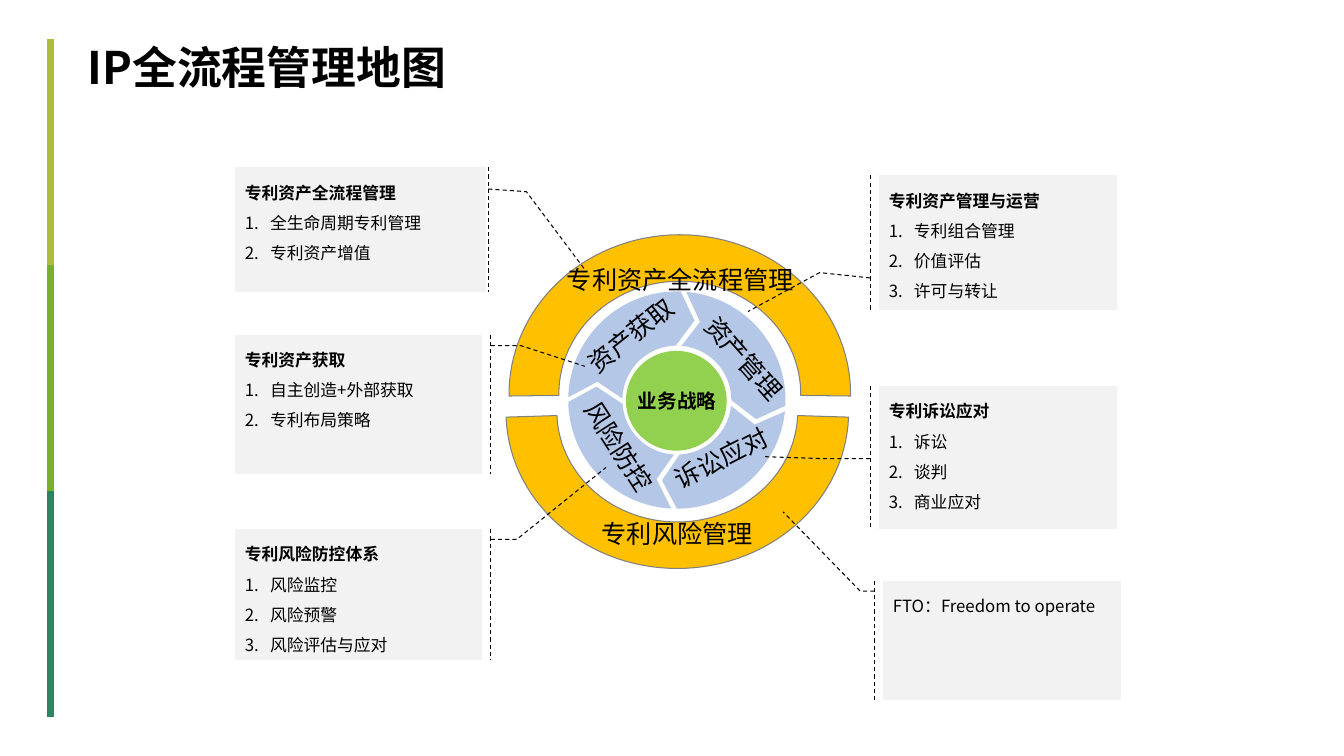
import math
from dataclasses import dataclass

import pptx
import pptx.dml.color
import pptx.enum.dml
import pptx.enum.shapes
import pptx.enum.text
import pptx.oxml
import pptx.oxml.ns
import pptx.util

Pt = pptx.util.Pt
ALIGN = pptx.enum.text.PP_ALIGN
SHAPE = pptx.enum.shapes.MSO_SHAPE


@dataclass(frozen=True)
class Theme:
    font: str = "Noto Sans CJK SC"
    ink: str = "000000"
    panel: str = "F2F2F2"
    band: str = "FFC000"
    band_edge: str = "808080"
    sector: str = "B4C7E7"
    core: str = "92D050"
    stripes: tuple = ("AEBD38", "78AF2B", "2D8461")
    title: int = 32
    ring: int = 18
    centre: int = 14
    body: int = 12


class MapSlide:
    """Draws the parts of the management map on one slide, in points."""

    def __init__(self, slide, theme):
        self.shapes = slide.shapes
        self.theme = theme

    def rgb(self, value):
        return pptx.dml.color.RGBColor.from_string(value)

    def element(self, tag, **attributes):
        made = pptx.oxml.parse_xml(f"<a:{tag} {pptx.oxml.ns.nsdecls('a')}/>")
        for key, value in attributes.items():
            made.set(key, value)
        return made

    def paint(self, shape, fill, edge=None):
        shape.shadow.inherit = False
        shape.fill.solid()
        shape.fill.fore_color.rgb = self.rgb(fill)
        if edge:
            shape.line.color.rgb = self.rgb(edge)
            shape.line.width = Pt(0.75)
        else:
            shape.line.fill.background()

    def add_words(self, paragraph, words, size, bold=False):
        run = paragraph.add_run()
        run.text = words
        run.font.size = Pt(size)
        run.font.bold = bold
        run.font.color.rgb = self.rgb(self.theme.ink)
        run.font.name = self.theme.font
        run.font._element.append(self.element("ea", typeface=self.theme.font))

    def stripe(self, x, top, length, color):
        line = self.shapes.add_connector(
            pptx.enum.shapes.MSO_CONNECTOR.STRAIGHT,
            Pt(x), Pt(top), Pt(x), Pt(top + length))
        line.line.color.rgb = self.rgb(color)
        line.line.width = Pt(4.8)
        line._element.spPr.append(self.element("effectLst"))

    def disc(self, box, color):
        self.paint(self.shapes.add_shape(SHAPE.OVAL, *map(Pt, box)), color)

    def ring_piece(self, centre, outer, inner, start, end, color, edge=None, arrow=False):
        def at(radii, degrees):
            turn = math.radians(degrees)
            return tuple(Pt(c + r * f(turn))
                         for c, r, f in zip(centre, radii, (math.cos, math.sin)))

        def arc(radii, first, last, steps=60):
            return [at(radii, first + (last - first) * i / steps) for i in range(steps + 1)]

        middle = [(a + b) / 2 for a, b in zip(outer, inner)]
        tip = [at(middle, end + 10.5)] if arrow else []
        notch = [at(middle, start + 11.5)] if arrow else []
        inner_end = end - 3 if arrow else end
        points = arc(outer, start, end) + tip + arc(inner, inner_end, start) + notch
        builder = self.shapes.build_freeform(*points[0], scale=1.0)
        builder.add_line_segments(points[1:], close=True)
        self.paint(builder.convert_to_shape(), color, edge)

    def label(self, words, box, size, bold=False, align=ALIGN.LEFT, insets=None,
              spacing=None, turn=0, wrap=True, grow=True):
        holder = self.shapes.add_textbox(*map(Pt, box))
        holder.rotation = turn
        frame = holder.text_frame
        frame.word_wrap = wrap
        sizing = pptx.enum.text.MSO_AUTO_SIZE
        frame.auto_size = sizing.SHAPE_TO_FIT_TEXT if grow else sizing.NONE
        if insets:
            frame.margin_left = frame.margin_right = Pt(insets[0])
            frame.margin_top = frame.margin_bottom = Pt(insets[1])
        paragraph = frame.paragraphs[0]
        paragraph.alignment = align
        if spacing:
            paragraph.line_spacing = spacing
        self.add_words(paragraph, words, size, bold)

    def callout(self, box, leader, heading, items):
        panel = self.shapes.add_shape(SHAPE.LINE_CALLOUT_2_ACCENT_BAR, *map(Pt, box))
        for i, value in enumerate(leader):
            panel.adjustments[i] = value
        self.paint(panel, self.theme.panel, self.theme.ink)
        panel.line.dash_style = pptx.enum.dml.MSO_LINE.DASH
        frame = panel.text_frame
        frame.word_wrap = True
        frame.vertical_anchor = pptx.enum.text.MSO_ANCHOR.TOP
        for i, words in enumerate([heading, *items]):
            paragraph = frame.add_paragraph() if i else frame.paragraphs[0]
            paragraph.alignment = ALIGN.LEFT
            paragraph.line_spacing = 1.5
            if i:
                properties = paragraph._p.get_or_add_pPr()
                properties.set("marL", str(Pt(18)))
                properties.set("indent", str(-Pt(18)))
                properties.append(self.element("buAutoNum", type="arabicPeriod"))
            self.add_words(paragraph, words, self.theme.body, bool(items) and i == 0)


SECTORS = [(-85, 3), (181.5, 272), (93, 179), (6, 90)]

SECTOR_LABELS = [
    ("资产获取", (414, 231.1, 80.6, 16.6), 321.6, ALIGN.LEFT),
    ("资产管理", (491, 252, 82.1, 16.6), 48.6, ALIGN.LEFT),
    ("诉讼应对", (478.8, 320.4, 77, 16.6), 332.9, ALIGN.LEFT),
    ("风险防控", (391.7, 311.8, 96.5, 16.6), 57.4, ALIGN.CENTER),
]

BANDS = [
    ((483.8, 294.1), (122.4, 112), (86, 78.8), 2, 178),
    ((485.6, 281.5), (122, 113.8), (86.4, 80.6), 179.3, 360.7),
]

BAND_LABELS = [
    ("专利资产全流程管理", (432, 185, 108, 36)),
    ("专利风险管理", (432, 366.5, 103.7, 28.1)),
]

CALLOUTS = [
    ((167.8, 239, 176.4, 99.4), (0.079, 1.036, 0.079, 1.157, 0.228, 1.417),
     "专利资产获取", ["自主创造+外部获取", "专利布局策略"]),
    ((167.8, 378, 176.4, 93.6), (0.079, 1.036, 0.079, 1.141, -0.472, 1.503),
     "专利风险防控体系", ["风险监控", "风险预警", "风险评估与应对"]),
    ((167.8, 119.5, 179.3, 89.3), (0.174, 1.009, 0.195, 1.161, 0.813, 1.392),
     "专利资产全流程管理", ["全生命周期专利管理", "专利资产增值"]),
    ((627.8, 125.3, 169.9, 95.8), (0.765, -0.036, 0.725, -0.249, 1.015, -0.55),
     "专利资产管理与运营", ["专利组合管理", "价值评估", "许可与转让"]),
    ((630.7, 414.7, 169.9, 85), (0.088, -0.036, 0.088, -0.096, -0.578, -0.42),
     "FTO：Freedom to operate", []),
    ((627.8, 275.8, 169.9, 102.2), (0.507, -0.036, 0.507, -0.235, 0.493, -0.482),
     "专利诉讼应对", ["诉讼", "谈判", "商业应对"]),
]


def main():
    deck = pptx.Presentation()
    deck.slide_width, deck.slide_height = Pt(960), Pt(540)
    theme = Theme()
    page = MapSlide(deck.slides.add_slide(deck.slide_layouts[6]), theme)

    for i, color in enumerate(theme.stripes):
        page.stripe(36, 28.1 + i * 161.3, 161.3, color)

    page.disc((447.1, 250.6, 72, 71.3), theme.core)
    for start, end in SECTORS:
        page.ring_piece((483.5, 285.8), (77.6, 77.6), (38.9, 38.9), start, end,
                        theme.sector, arrow=True)
    for words, box, turn, align in SECTOR_LABELS:
        page.label(words, box, theme.ring, align=align, insets=(1.4, 0),
                   spacing=0.75, turn=turn)
    for band in BANDS:
        page.ring_piece(*band, theme.band, theme.band_edge)
    page.label("业务战略", (448.6, 274.3, 73.4, 24.5), theme.centre, bold=True)
    for words, box in BAND_LABELS:
        page.label(words, box, theme.ring, align=ALIGN.CENTER, wrap=False, grow=False)

    for callout in CALLOUTS:
        page.callout(*callout)
    page.label("IP全流程管理地图", (62.6, 28.1, 619.2, 38.9), theme.title, bold=True,
               insets=(0, 0))
    deck.save("out.pptx")


if __name__ == "__main__":
    main()
